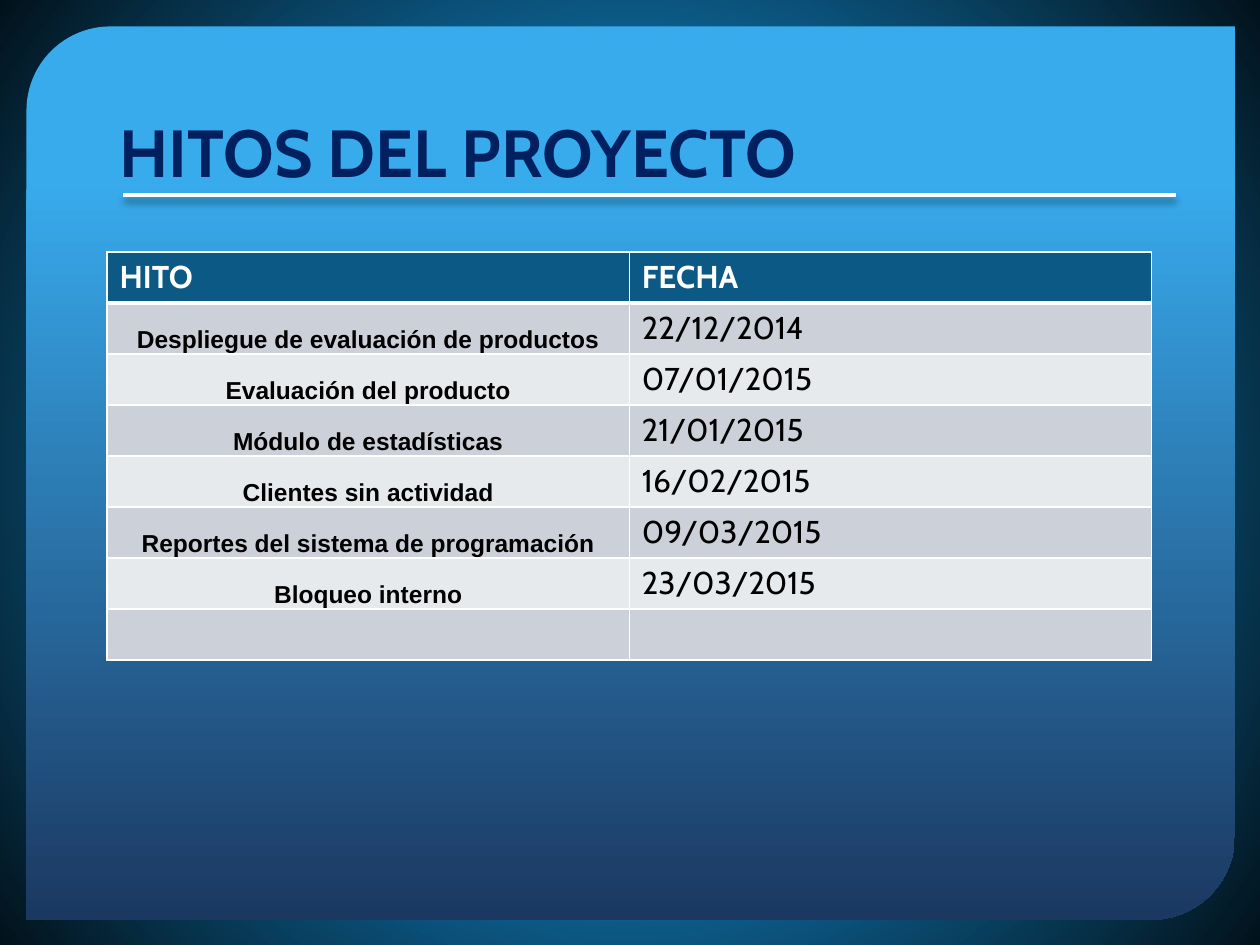
import pptx
import pptx.util
import pptx.dml.color
import pptx.enum.shapes
import pptx.enum.text
import pptx.oxml
import pptx.oxml.ns

Inches = pptx.util.Inches
Pt = pptx.util.Pt
qn = pptx.oxml.ns.qn
NAMESPACE = pptx.oxml.ns.nsdecls("a")

MILESTONES = [
    ("Despliegue de evaluación de productos", "22/12/2014"),
    ("Evaluación del producto", "07/01/2015"),
    ("Módulo de estadísticas", "21/01/2015"),
    ("Clientes sin actividad", "16/02/2015"),
    ("Reportes del sistema de programación", "09/03/2015"),
    ("Bloqueo interno", "23/03/2015"),
    ("", ""),
]


def color(hex_value):
    """Return the colour for a hex string."""
    return pptx.dml.color.RGBColor.from_string(hex_value)


def set_gradient(fill, owner, stops, direction):
    """Give a fill the stops (percent, hex) and the direction element."""
    fill.gradient()
    stop_xml = "".join(
        f'<a:gs pos="{percent * 1000}"><a:srgbClr val="{value}"/></a:gs>'
        for percent, value in stops)
    gradient = next(owner.iter(qn("a:gradFill")))
    for child in list(gradient):
        gradient.remove(child)
    gradient.extend(pptx.oxml.parse_xml(
        f'<a:gradFill {NAMESPACE}><a:gsLst>{stop_xml}</a:gsLst>{direction}</a:gradFill>'))


def write(frame, text, font_name, size, hex_value, bold):
    """Write one line of formatted text in a text frame."""
    frame.text = text
    paragraph = frame.paragraphs[0]
    for font in [paragraph.font] + [run.font for run in paragraph.runs]:
        font.name, font.size, font.bold = font_name, Pt(size), bold
        font.color.rgb = color(hex_value)


def add_backdrop(slide, left, top, width, height):
    """Fill the background and add the panel with two rounded corners."""
    set_gradient(
        slide.background.fill, slide.element,
        [(0, "38ABED"), (30, "1287CA"), (100, "02121B")],
        '<a:path path="circle"><a:fillToRect l="50000" t="50000" r="50000" b="50000"/></a:path>')
    panel = slide.shapes.add_shape(
        pptx.enum.shapes.MSO_SHAPE.ROUND_2_DIAG_RECTANGLE,
        Inches(left), Inches(top), Inches(width), Inches(height))
    panel.adjustments[0] = 0.094
    panel.adjustments[1] = 0
    panel.shadow.inherit = False
    panel.line.fill.background()
    set_gradient(panel.fill, panel.element.spPr, [(17, "38ABED"), (100, "1B3861")],
                 '<a:lin ang="5400000" scaled="0"/>')


def add_heading(slide, left, top, width, height):
    """Add the title and the shadowed rule along its bottom."""
    title = slide.shapes.add_textbox(
        Inches(left), Inches(top), Inches(width), Inches(height))
    title.text_frame.word_wrap = True
    title.text_frame.vertical_anchor = pptx.enum.text.MSO_ANCHOR.BOTTOM
    write(title.text_frame, "HITOS DEL PROYECTO", "Cabin", 38, "002060", True)

    rule_left, rule_top = Inches(left + 0.13), Inches(top + height - 0.01)
    rule = slide.shapes.add_connector(
        pptx.enum.shapes.MSO_CONNECTOR.STRAIGHT,
        rule_left, rule_top, rule_left + Inches(8.35), rule_top)
    rule.line.color.rgb = color("FFFFFF")
    rule.line.width = Pt(2.5)
    rule.element.spPr.append(pptx.oxml.parse_xml(
        f'<a:effectLst {NAMESPACE}><a:outerShdw blurRad="{Pt(4)}" dist="{Pt(3)}" '
        'dir="5400000" rotWithShape="0"><a:srgbClr val="000000">'
        '<a:alpha val="40000"/></a:srgbClr></a:outerShdw></a:effectLst>'))


def style_cell(cell, fill_hex, top_width, bottom_width):
    """Give a cell white borders and a solid fill."""
    for side, width in (("L", 1), ("R", 1), ("T", top_width), ("B", bottom_width)):
        cell._tc.get_or_add_tcPr().append(pptx.oxml.parse_xml(
            f'<a:ln{side} {NAMESPACE} w="{Pt(width)}"><a:solidFill>'
            f'<a:srgbClr val="FFFFFF"/></a:solidFill></a:ln{side}>'))
    cell.fill.solid()
    cell.fill.fore_color.rgb = color(fill_hex)


def add_milestone_table(slide, left, top, width, height):
    """Add the table of milestones and their dates."""
    rows = [("HITO", "FECHA")] + MILESTONES
    table = slide.shapes.add_table(
        len(rows), 2, Inches(left), Inches(top), Inches(width), Inches(height)).table
    for row_index, texts in enumerate(rows):
        is_header = row_index == 0
        fill_hex = "0C5986" if is_header else ("E7EAED", "CCD1D9")[row_index % 2]
        for column_index, text in enumerate(texts):
            cell = table.cell(row_index, column_index)
            style_cell(cell, fill_hex, 3 if row_index == 1 else 1, 3 if is_header else 1)
            if text and column_index == 0 and not is_header:
                write(cell.text_frame, text, "Arial", 14, "000000", True)
                cell.text_frame.paragraphs[0].alignment = pptx.enum.text.PP_ALIGN.CENTER
                cell.vertical_anchor = pptx.enum.text.MSO_ANCHOR.BOTTOM
                cell.margin_left = cell.margin_right = 0
                cell.margin_top = cell.margin_bottom = 0
            else:
                write(cell.text_frame, text, "Cabin", 18,
                      "FFFFFF" if is_header else "000000", is_header)


def main():
    """Build and save the slide of project milestones."""
    presentation = pptx.Presentation()
    presentation.slide_width = Inches(10)
    presentation.slide_height = Inches(7.5)
    slide = presentation.slides.add_slide(presentation.slide_layouts[6])
    add_backdrop(slide, 0.21, 0.21, 9.59, 7.09)
    add_heading(slide, 0.85, 0.42, 8.29, 1.14)
    add_milestone_table(slide, 0.85, 2, 8.29, 3.24)
    presentation.save("out.pptx")


if __name__ == "__main__":
    main()
